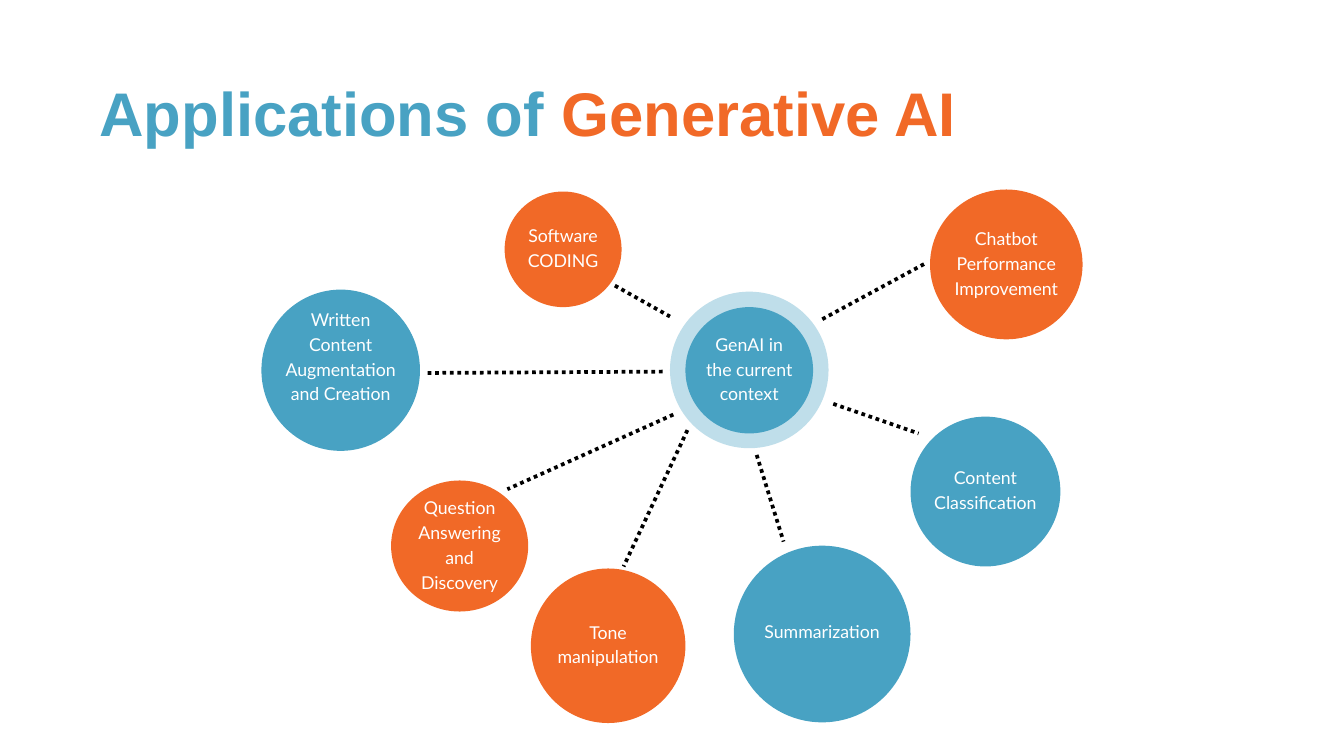
from lxml import etree
from pptx import Presentation
from pptx.dml.color import RGBColor
from pptx.enum.dml import MSO_LINE
from pptx.enum.shapes import MSO_CONNECTOR, MSO_SHAPE
from pptx.enum.text import MSO_ANCHOR, PP_ALIGN
from pptx.oxml.ns import qn
from pptx.util import Pt

PX = 9144
BLUE = RGBColor(0x48, 0xA2, 0xC3)
ORANGE = RGBColor(0xF1, 0x69, 0x27)
WHITE = RGBColor(0xFF, 0xFF, 0xFF)
BLACK = RGBColor(0, 0, 0)
OVAL = MSO_SHAPE.OVAL
STRAIGHT = MSO_CONNECTOR.STRAIGHT
DOTTED = MSO_LINE.ROUND_DOT
MIDDLE = MSO_ANCHOR.MIDDLE
CENTER = PP_ALIGN.CENTER
LEFT = PP_ALIGN.LEFT

TOPICS = [
    ("Software CODING", ORANGE, (751, 285, 174, 172), 9),
    ("Written Content Augmentation and Creation", BLUE, (389, 431, 236, 240), 46),
    ("Question Answering and Discovery", ORANGE, (582, 715, 204, 195), 9),
    ("Tone manipulation", ORANGE, (790, 846, 230, 230), 9),
    ("Summarization", BLUE, (1092, 812, 263, 263), 13),
    ("Content Classification", BLUE, (1355, 620, 223, 223), 9),
    ("Chatbot Performance Improvement", ORANGE, (1384, 282, 227, 223), 9),
]

SPOKES = [
    (915, 425, 997, 471),
    (1240, 601, 1367, 645),
    (1023, 640, 928, 843),
    (1126, 677, 1166, 806),
    (1375, 393, 1220, 477),
    (986, 553, 633, 555),
    (1002, 617, 755, 728),
]


def add_text(paragraph, text, *, font, size, color, line, bold=False, align=LEFT):
    paragraph.alignment = align
    paragraph.line_spacing = Pt(line)
    run = paragraph.add_run()
    run.text = text
    run.font.name = font
    run.font.size = Pt(size)
    run.font.bold = bold
    run.font.color.rgb = color


class SlideBuilder:
    def __init__(self, slide):
        self.slide = slide

    def prepare_frame(self, shape, bottom=0):
        frame = shape.text_frame
        frame.word_wrap = True
        frame.margin_left = frame.margin_right = frame.margin_top = 0
        frame.margin_bottom = bottom * PX
        return frame

    def title(self, box, parts):
        shape = self.slide.shapes.add_textbox(*(value * PX for value in box))
        paragraph = self.prepare_frame(shape).paragraphs[0]
        for text, color in parts:
            add_text(paragraph, text, font="Arial", size=66, color=color,
                     line=71.3, bold=True)

    def circle(self, box, color, opacity=100):
        shape = self.slide.shapes.add_shape(OVAL, *(value * PX for value in box))
        shape.shadow.inherit = False
        shape.fill.solid()
        shape.fill.fore_color.rgb = color
        shape.line.fill.background()
        if opacity < 100:
            fill_color = shape.fill._xPr.find(".//" + qn("a:srgbClr"))
            alpha = etree.SubElement(fill_color, qn("a:alpha"))
            alpha.set("val", str(opacity * 1000))
        return shape

    def topic(self, text, color, box, bottom):
        frame = self.prepare_frame(self.circle(box, color), bottom)
        frame.vertical_anchor = MIDDLE
        add_text(frame.paragraphs[0], text, font="Lato", size=19, color=WHITE,
                 line=26.6, align=CENTER)

    def spoke(self, *ends):
        connector = self.slide.shapes.add_connector(
            STRAIGHT, *(value * PX for value in ends))
        connector.line.color.rgb = BLACK
        connector.line.width = Pt(4)
        connector.line.dash_style = DOTTED
        etree.SubElement(connector._element.spPr, qn("a:effectLst"))


def main():
    presentation = Presentation()
    presentation.slide_width = 2000 * PX
    presentation.slide_height = 1125 * PX
    builder = SlideBuilder(presentation.slides.add_slide(presentation.slide_layouts[6]))

    builder.title((148, 122, 1705, 106),
                  [("Applications of ", BLUE), ("Generative AI", ORANGE)])
    builder.circle((997, 434, 236, 233), BLUE, opacity=35)
    builder.topic("GenAI in the current context", BLUE, (1020, 457, 190, 188), 9)
    for topic in TOPICS:
        builder.topic(*topic)
    for spoke in SPOKES:
        builder.spoke(*spoke)

    presentation.save("out.pptx")


if __name__ == "__main__":
    main()
